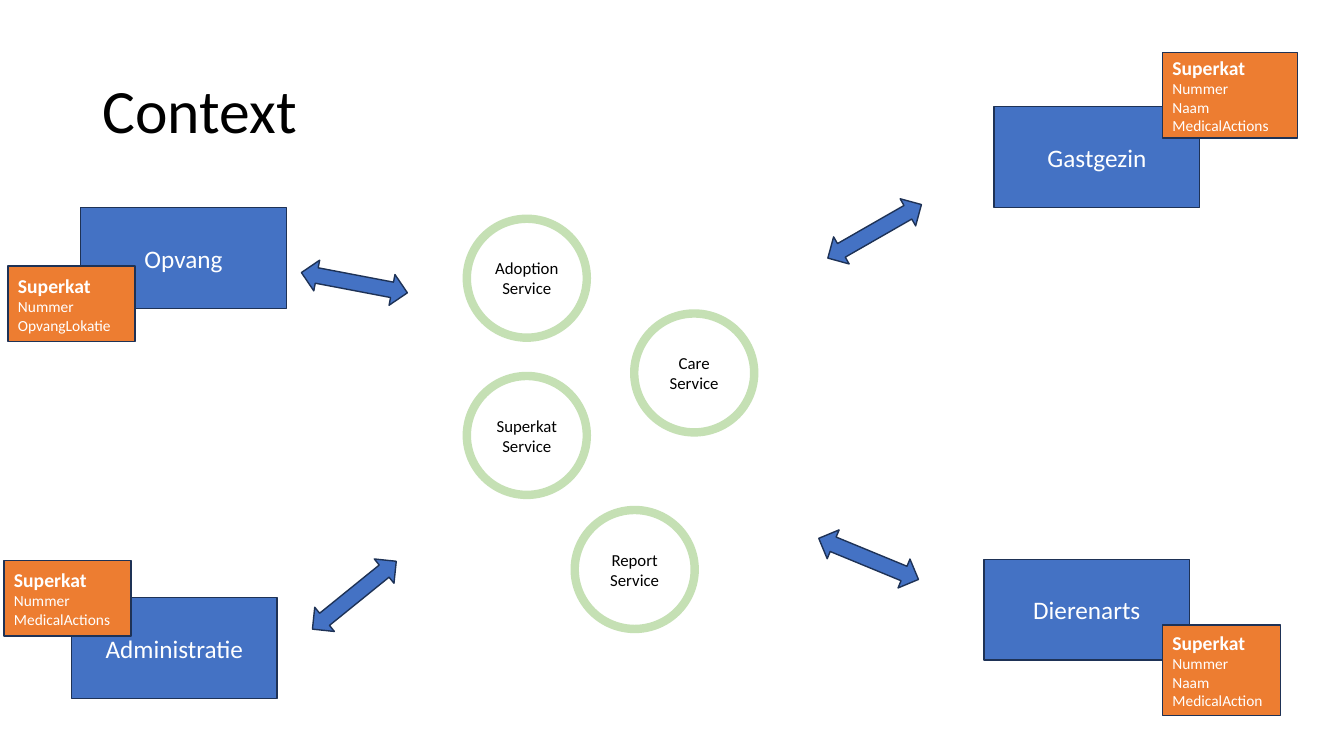
import pptx
import pptx.util
import pptx.dml.color
import pptx.enum.shapes
import pptx.enum.text

Inches = pptx.util.Inches
Pt = pptx.util.Pt
RGB = pptx.dml.color.RGBColor
Kind = pptx.enum.shapes.MSO_SHAPE
Align = pptx.enum.text.PP_ALIGN
Anchor = pptx.enum.text.MSO_ANCHOR

BLUE = RGB(0x44, 0x72, 0xC4)
NAVY = RGB(0x1E, 0x32, 0x56)
ORANGE = RGB(0xED, 0x7D, 0x31)
GREEN = RGB(0xC5, 0xE0, 0xB4)
WHITE = RGB(0xFF, 0xFF, 0xFF)
BLACK = RGB(0, 0, 0)
FONT = "Calibri"

WIDE, HIGH = 13.33, 7.5
TITLE = "Context"
PARTIES = [
    ("Opvang", 0.8, 2.06),
    ("Gastgezin", 9.86, 1.06),
    ("Dierenarts", 9.76, 5.55),
    ("Administratie", 0.71, 5.93),
]
HEAD = "Superkat"
CARDS = [
    (["Nummer", "OpvangLokatie"], 0.08, 2.64, 1.26, 0.75),
    (["Nummer", "Naam", "MedicalAction"], 11.53, 6.2, 1.17, 0.9),
    (["Nummer", "Naam", "MedicalActions"], 11.53, 0.52, 1.34, 0.85),
    (["Nummer", "MedicalActions"], 0.04, 5.56, 1.26, 0.75),
]
SERVICES = [
    ("Adoption", 4.63, 2.17),
    ("Superkat", 4.63, 3.73),
    ("Care", 6.29, 3.11),
    ("Report", 5.7, 5.06),
]
ARROWS = [
    (2.98, 2.65, 10.8),
    (2.98, 5.75, 321),
    (8.14, 2.14, 330.2),
    (8.08, 5.39, 22.4),
]
PARTY = (2.04, 1)
RING = (1.19, 1.18)
ARROW = (1.07, 0.31)


def write(shape, lines, align, color):
    frame = shape.text_frame
    frame.word_wrap = True
    frame.vertical_anchor = Anchor.MIDDLE
    for n, (text, size, bold) in enumerate(lines):
        para = frame.add_paragraph() if n else frame.paragraphs[0]
        para.text = text
        para.alignment = align
        para.font.name = FONT
        para.font.size = Pt(size)
        para.font.bold = bold
        para.font.color.rgb = color
    return frame


def draw(kind, box, fill, edge=NAVY, weight=1):
    shape = slide.shapes.add_shape(kind, *map(Inches, box))
    shape.shadow.inherit = False
    shape.fill.solid()
    shape.fill.fore_color.rgb = fill
    shape.line.color.rgb = edge
    shape.line.width = Pt(weight)
    return shape


deck = pptx.Presentation()
deck.slide_width, deck.slide_height = Inches(WIDE), Inches(HIGH)
slide = deck.slides.add_slide(deck.slide_layouts[6])

title = slide.shapes.add_textbox(*map(Inches, (0.92, 0.4, 11.5, 1.45)))
frame = write(title, [(TITLE, 44, False)], Align.LEFT, BLACK)
frame.paragraphs[0].line_spacing = 0.9

for name, left, top in PARTIES:
    shape = draw(Kind.RECTANGLE, (left, top, *PARTY), BLUE)
    write(shape, [(name, 18, False)], Align.CENTER, WHITE)

for fields, *box in CARDS:
    shape = draw(Kind.RECTANGLE, box, ORANGE)
    lines = [(HEAD, 14, True)] + [(field, 11, False) for field in fields]
    write(shape, lines, Align.LEFT, WHITE)

for name, left, top in SERVICES:
    shape = draw(Kind.OVAL, (left, top, *RING), WHITE, GREEN, 6)
    frame = write(shape, [(name + " Service", 12, False)], Align.CENTER, BLACK)
    frame.margin_left = frame.margin_right = Inches(0.05)

for left, top, turn in ARROWS:
    shape = draw(Kind.LEFT_RIGHT_ARROW, (left, top, *ARROW), BLUE)
    shape.rotation = turn

deck.save("out.pptx")
